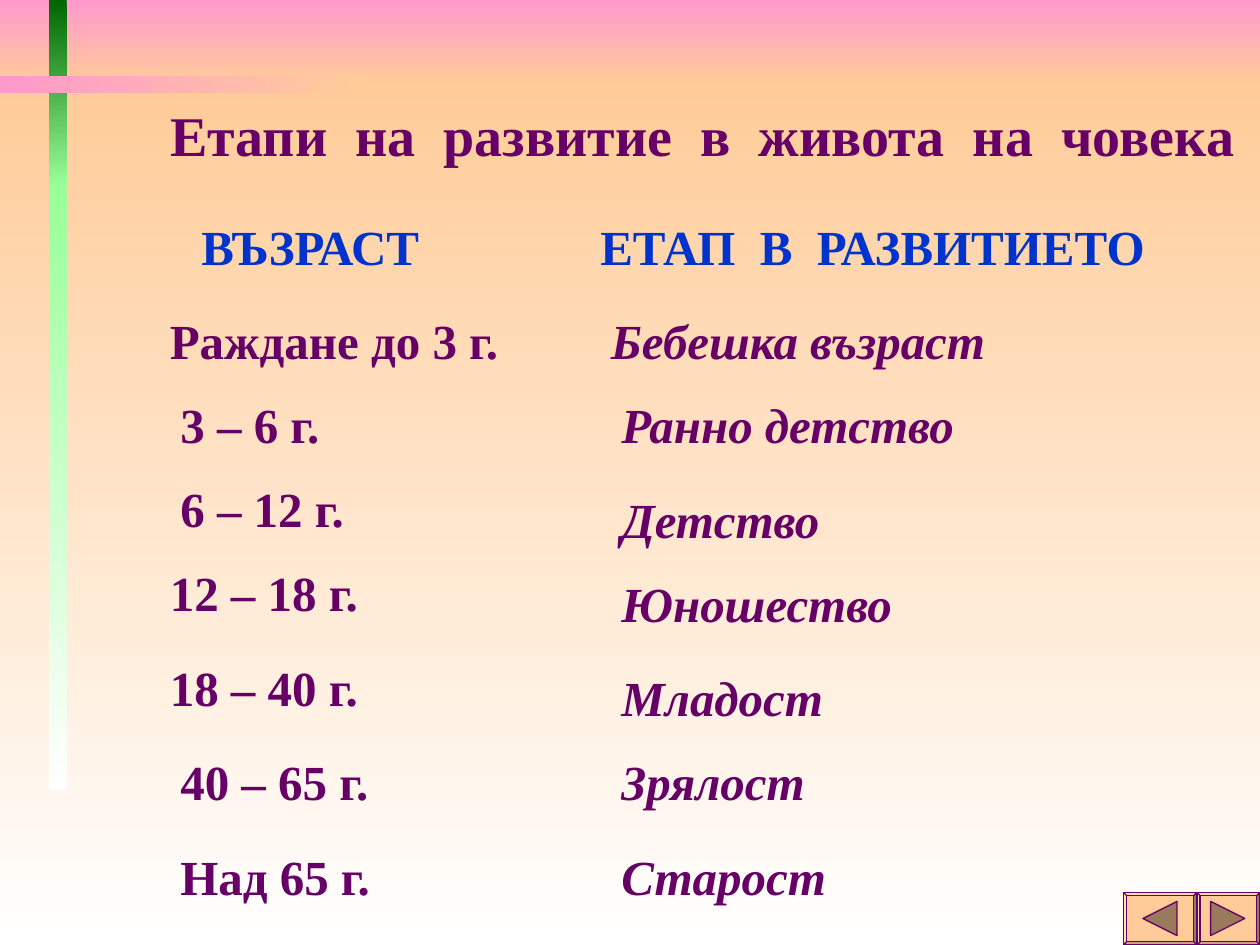
from typing import NamedTuple

from pptx import Presentation
from pptx import util as u
from pptx.dml.color import RGBColor
from pptx.enum import shapes, text

COLORS = {
    "pink": "FF99CC", "peach": "FFCC99", "white": "FFFFFF",
    "green": "006600", "mint": "99FF99",
    "plum": "660066", "blue": "0033CC", "arrow": "997A5C",
}
FONT = "Times New Roman"
CELL = u.Inches(1) // 12  # the slide is 120 columns by 90 rows
LINE_ROWS = 6.84          # height of one text line box
DOWN, ACROSS = 270, 0     # gradient directions


class Band(NamedTuple):
    """A gradient bar; lengths are shares of the slide's size."""
    left: float
    top: float
    width: float
    height: float
    start: str
    end: str
    angle: int


class Label(NamedTuple):
    """One line of text; lengths are grid columns and rows."""
    words: str
    column: int
    row: int
    columns: int
    color: str = "plum"
    italic: bool = False


class Button(NamedTuple):
    column: int
    columns: int
    arrow_column: float
    rotation: int


BANDS = [
    Band(0, 0, 1, 0.09, "pink", "peach", DOWN),
    Band(0, 0.09, 1, 0.91, "peach", "white", DOWN),
    Band(0.039, 0, 0.014, 0.197, "green", "mint", DOWN),
    Band(0.039, 0.195, 0.014, 0.641, "mint", "white", DOWN),
    Band(0, 0.08, 0.289, 0.019, "pink", "peach", ACROSS),
]
HEADINGS = [
    Label("ВЪЗРАСТ", 18, 20, 37, "blue"),
    Label("ЕТАП  В  РАЗВИТИЕТО", 56, 20, 60, "blue"),
]
AGES = [
    Label("Раждане до 3 г.", 15, 29, 38),
    Label("3 – 6 г.", 16, 37, 34),
    Label("6 – 12 г.", 16, 45, 25),
    Label("12 – 18 г.", 15, 53, 23),
    Label("18 – 40 г.", 15, 62, 25),
    Label("40 – 65 г.", 16, 71, 23),
    Label("Над 65 г.", 16, 80, 31),
]
STAGES = [
    Label("Бебешка възраст", 57, 29, 58, italic=True),
    Label("Ранно детство", 58, 37, 44, italic=True),
    Label("Детство", 58, 46, 40, italic=True),
    Label("Юношество", 58, 54, 40, italic=True),
    Label("Младост", 58, 63, 38, italic=True),
    Label("Зрялост", 58, 71, 38, italic=True),
    Label("Старост", 58, 80, 34, italic=True),
]
BUTTONS = [Button(114, 6, 115.3, 90), Button(107, 7, 108.85, 270)]


def rgb(name: str) -> RGBColor:
    return RGBColor.from_string(COLORS[name])


def grid(*cells: float) -> list[int]:
    return [round(cell * CELL) for cell in cells]


def write(frame, words: str, *, size: int = 28, color: str = "plum",
          italic: bool = False) -> None:
    """Fill a text frame with one bold, left-aligned paragraph."""
    frame.word_wrap = True
    frame.auto_size = text.MSO_AUTO_SIZE.NONE
    frame.vertical_anchor = text.MSO_ANCHOR.TOP
    para = frame.paragraphs[0]
    para.alignment = text.PP_ALIGN.LEFT
    span = para.add_run()
    span.text = words
    font = span.font
    font.name, font.size = FONT, u.Pt(size)
    font.bold, font.italic = True, italic
    font.color.rgb = rgb(color)


def draw_band(page, deck, band: Band) -> None:
    width, height = deck.slide_width, deck.slide_height
    bar = page.shapes.add_shape(
        shapes.MSO_SHAPE.RECTANGLE,
        round(band.left * width), round(band.top * height),
        round(band.width * width), round(band.height * height))
    bar.shadow.inherit = False
    bar.line.fill.background()
    bar.fill.gradient()
    bar.fill.gradient_angle = band.angle
    for stop, name in zip(bar.fill.gradient_stops, (band.start, band.end)):
        stop.color.rgb = rgb(name)


def draw_label(page, label: Label) -> None:
    box = page.shapes.add_textbox(
        *grid(label.column, label.row, label.columns, LINE_ROWS))
    write(box.text_frame, label.words, color=label.color, italic=label.italic)


def draw_part(page, kind, fill: str, *cells: float):
    part = page.shapes.add_shape(kind, *grid(*cells))
    part.shadow.inherit = False
    part.fill.solid()
    part.fill.fore_color.rgb = rgb(fill)
    part.line.color.rgb = rgb("plum")
    part.line.width = u.Pt(0.75)
    return part


def draw_button(page, button: Button) -> None:
    frame = draw_part(page, shapes.MSO_SHAPE.BEVEL, "peach",
                      button.column, 85, button.columns, 5)
    frame.adjustments[0] = 0.06
    arrow = draw_part(page, shapes.MSO_SHAPE.ISOSCELES_TRIANGLE, "arrow",
                      button.arrow_column, 85.85, 3.25, 3.25)
    arrow.rotation = button.rotation


def main() -> None:
    deck = Presentation()
    deck.slide_width, deck.slide_height = u.Inches(10), u.Inches(7.5)
    page = deck.slides.add_slide(deck.slide_layouts[5])

    # Background
    for band in BANDS:
        draw_band(page, deck, band)

    # Title, brought in front of the background
    title = page.shapes.title
    title.element.getparent().append(title.element)
    title.left, title.top, title.width, title.height = grid(9, 9, 111, 7.68)
    title.text_frame.margin_left = u.Inches(0.6)
    write(title.text_frame, "Етапи  на  развитие  в  живота  на  човека", size=32)

    # Headings and the two columns
    for label in HEADINGS + AGES + STAGES:
        draw_label(page, label)

    # Navigation buttons
    for button in BUTTONS:
        draw_button(page, button)

    deck.save("out.pptx")


if __name__ == "__main__":
    main()
